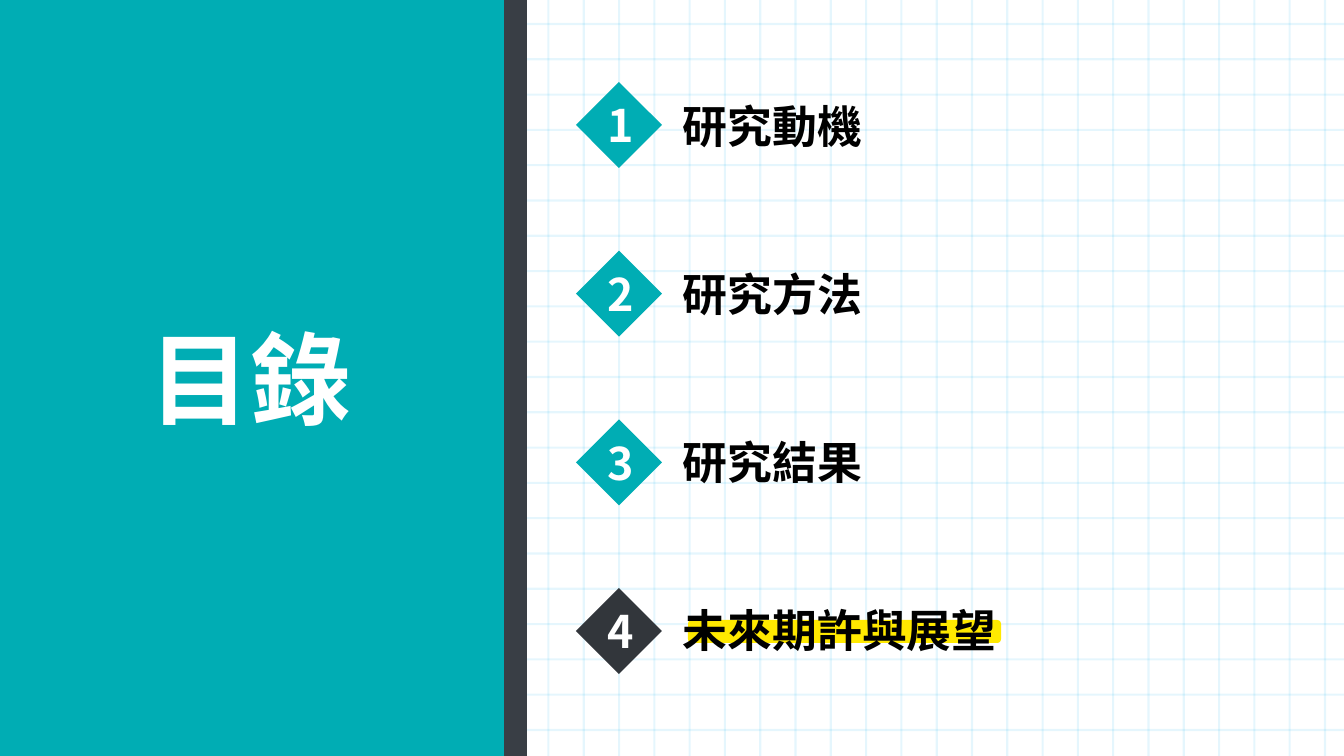
"""Build the table-of-contents slide with a teal title panel and four numbered items."""
from lxml import etree
from pptx import Presentation
from pptx import util as u
from pptx.dml.color import RGBColor
from pptx.enum import shapes, text
from pptx.oxml.ns import qn

TITLE = "目錄"
ITEMS = ["研究動機", "研究方法", "研究結果", "未來期許與展望"]
CURRENT = 3

FONT = "Noto Sans CJK TC"
TEAL = RGBColor(0x00, 0xAD, 0xB4)
SLATE = RGBColor(0x39, 0x3E, 0x45)
DARK = RGBColor(0x32, 0x36, 0x3B)
YELLOW = RGBColor(0xFF, 0xE9, 0x00)
SKY = RGBColor(0x00, 0xB0, 0xF0)
WHITE = RGBColor(0xFF, 0xFF, 0xFF)
BLACK = RGBColor(0x00, 0x00, 0x00)

W, H = 1344, 756
PANEL_W, BAR_W = 504, 23
GRID_ROWS = (24, 730, 21)
GRID_COLS = (19, 1325, 38)
GRID_LEFT, GRID_RIGHT = -26, 1370
GRID_TOP, GRID_BOTTOM = -258, 966
DIAMOND_YS = (82, 588, len(ITEMS))
LABEL_YS = (94, 598, len(ITEMS))
DIAMOND_X, DIAMOND = 576, 86
LABEL_X, LABEL_H = 673, 65
CHAR_W, LABEL_PAD = 46, 21


def px(n):
    return u.Emu(round(n * 914400 / 100.8))


def spread(first, last, count):
    return [first + (last - first) * i / (count - 1) for i in range(count)]


def add_grid_line(s, x1, y1, x2, y2):
    line = s.shapes.add_connector(shapes.MSO_CONNECTOR.STRAIGHT, px(x1), px(y1), px(x2), px(y2))
    line.line.color.rgb = SKY
    line.line.width = u.Pt(1.5)
    spPr = line._element.spPr
    color = spPr.find(".//" + qn("a:srgbClr"))
    etree.SubElement(color, qn("a:alpha"), val="10000")
    etree.SubElement(spPr, qn("a:effectLst"))


def add_block(s, kind, x, y, w, h, color):
    sp = s.shapes.add_shape(kind, px(x), px(y), px(w), px(h))
    sp.shadow.inherit = False
    sp.fill.solid()
    sp.fill.fore_color.rgb = color
    sp.line.fill.background()
    return sp


def write(tf, content, size, color, align):
    p = tf.paragraphs[0]
    p.text = content
    p.alignment = align
    p.font.size = u.Pt(size)
    p.font.bold = True
    p.font.color.rgb = color
    p.font.name = FONT
    latin = p._p.pPr.find(".//" + qn("a:latin"))
    latin.addnext(etree.Element(qn("a:ea"), typeface=FONT))


def add_text(s, x, y, w, h, content, size, color, wrap=True):
    tf = s.shapes.add_textbox(px(x), px(y), px(w), px(h)).text_frame
    tf.word_wrap = wrap
    tf.auto_size = text.MSO_AUTO_SIZE.SHAPE_TO_FIT_TEXT
    write(tf, content, size, color, text.PP_ALIGN.LEFT)


def add_item(s, number, label, diamond_y, label_y, color):
    sp = add_block(s, shapes.MSO_SHAPE.DIAMOND, DIAMOND_X, diamond_y, DIAMOND, DIAMOND, color)
    sp.text_frame.vertical_anchor = text.MSO_ANCHOR.MIDDLE
    write(sp.text_frame, str(number), 32, WHITE, text.PP_ALIGN.CENTER)
    add_text(s, LABEL_X, label_y, CHAR_W * len(label) + LABEL_PAD, LABEL_H, label, 32, BLACK)


def main():
    prs = Presentation()
    prs.slide_width, prs.slide_height = px(W), px(H)
    s = prs.slides.add_slide(prs.slide_layouts[6])

    for y in spread(*GRID_ROWS):
        add_grid_line(s, GRID_RIGHT, y, GRID_LEFT, y)
    for x in spread(*GRID_COLS):
        add_grid_line(s, x, GRID_TOP, x, GRID_BOTTOM)

    add_block(s, shapes.MSO_SHAPE.RECTANGLE, PANEL_W, 0, BAR_W, H, SLATE)
    add_block(s, shapes.MSO_SHAPE.RECTANGLE, 0, 0, PANEL_W, H, TEAL)
    add_text(s, 140, 312, 224, 132, TITLE, 72, WHITE, wrap=False)

    add_block(s, shapes.MSO_SHAPE.ROUNDED_RECTANGLE, 688, 620, 313, 23, YELLOW)
    rows = zip(ITEMS, spread(*DIAMOND_YS), spread(*LABEL_YS))
    for i, (label, diamond_y, label_y) in enumerate(rows):
        add_item(s, i + 1, label, diamond_y, label_y, DARK if i == CURRENT else TEAL)

    prs.save("out.pptx")


if __name__ == "__main__":
    main()
